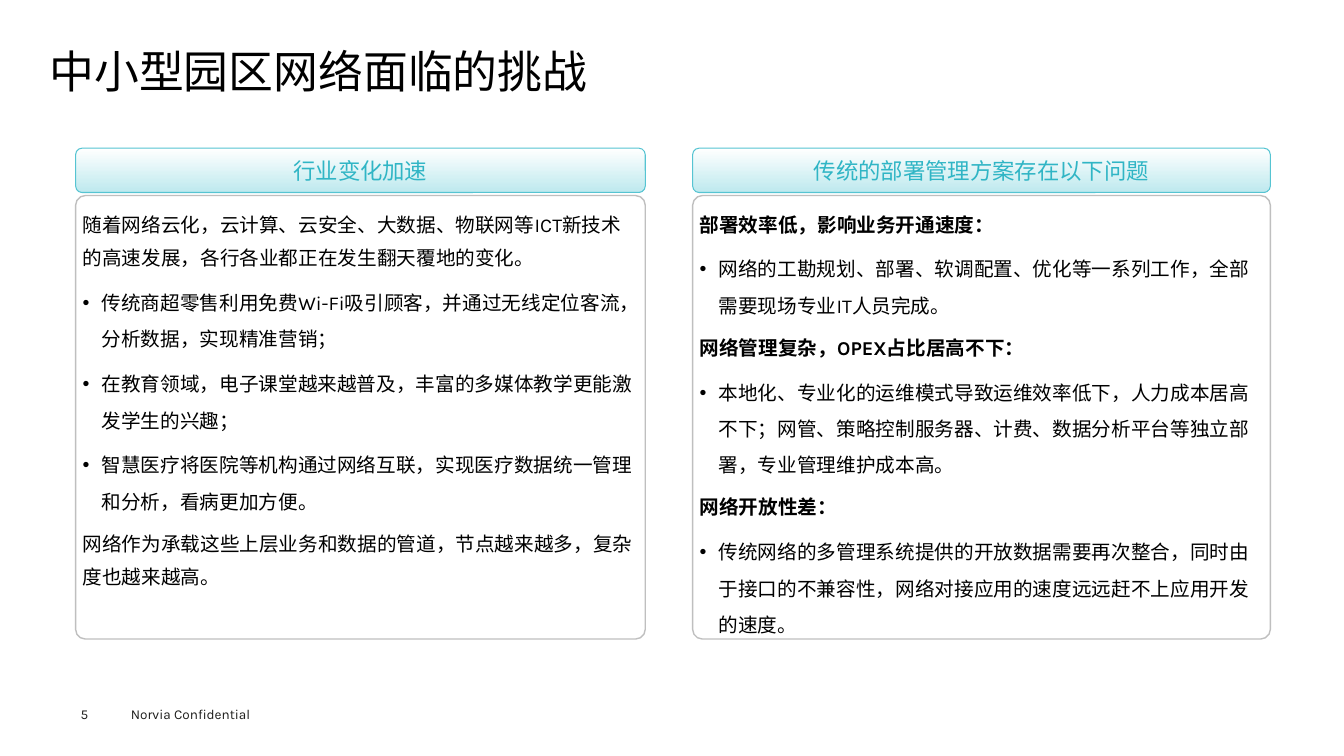
from dataclasses import dataclass

from lxml import etree
from pptx import Presentation
from pptx.dml.color import RGBColor
from pptx.enum.shapes import MSO_SHAPE
from pptx.enum.text import MSO_ANCHOR, MSO_AUTO_SIZE, PP_ALIGN
from pptx.oxml.ns import qn
from pptx.util import Inches, Pt

ROUND = MSO_SHAPE.ROUNDED_RECTANGLE
TOP, MIDDLE = MSO_ANCHOR.TOP, MSO_ANCHOR.MIDDLE
LEFT, CENTER = PP_ALIGN.LEFT, PP_ALIGN.CENTER
GROW, FIXED = MSO_AUTO_SIZE.SHAPE_TO_FIT_TEXT, MSO_AUTO_SIZE.NONE

FONT = "Karla"
COLORS = {
    "ink": "000000",
    "foot": "1D1D1B",
    "teal": "30B5C5",
    "edge": "56C4D2",
    "white": "FFFFFF",
    "pale": "BEE9EE",
    "gray": "BFBFBF",
}


@dataclass
class Item:
    text: str
    bullet: bool = False
    bold: bool = False


@dataclass
class Panel:
    left: float
    width: float
    head: str
    items: list[Item]


PANELS = [
    Panel(0.75, 5.65, "行业变化加速", [
        Item("随着网络云化，云计算、云安全、大数据、物联网等ICT新技术的高速发展，各行各业都正在发生翻天覆地的变化。"),
        Item("传统商超零售利用免费Wi-Fi吸引顾客，并通过无线定位客流，分析数据，实现精准营销；", bullet=True),
        Item("在教育领域，电子课堂越来越普及，丰富的多媒体教学更能激发学生的兴趣；", bullet=True),
        Item("智慧医疗将医院等机构通过网络互联，实现医疗数据统一管理和分析，看病更加方便。", bullet=True),
        Item("网络作为承载这些上层业务和数据的管道，节点越来越多，复杂度也越来越高。"),
    ]),
    Panel(6.87, 5.73, "传统的部署管理方案存在以下问题", [
        Item("部署效率低，影响业务开通速度：", bold=True),
        Item("网络的工勘规划、部署、软调配置、优化等一系列工作，全部需要现场专业IT人员完成。", bullet=True),
        Item("网络管理复杂，OPEX占比居高不下：", bold=True),
        Item("本地化、专业化的运维模式导致运维效率低下，人力成本居高不下；网管、策略控制服务器、计费、"
             "数据分析平台等独立部署，专业管理维护成本高。", bullet=True),
        Item("网络开放性差：", bold=True),
        Item("传统网络的多管理系统提供的开放数据需要再次整合，同时由于接口的不兼容性，"
             "网络对接应用的速度远远赶不上应用开发的速度。", bullet=True),
    ]),
]


def rgb(name: str) -> RGBColor:
    return RGBColor.from_string(COLORS[name])


def write(para, text: str, *, size: float, color: str = "ink", bold: bool = False,
          align=LEFT, space=None, after: float = 0, bullet: bool = False) -> None:
    """Fill one paragraph with formatted text."""
    if bullet:
        props = para._p.get_or_add_pPr()
        props.set("marL", str(Inches(0.19)))
        props.set("indent", str(-Inches(0.19)))
        etree.SubElement(props, qn("a:buFont")).set("typeface", "Arial")
        etree.SubElement(props, qn("a:buChar")).set("char", "•")
    para.alignment = align
    para.space_before, para.space_after = Pt(0), Pt(after)
    if space is not None:
        para.line_spacing = space
    run = para.add_run()
    run.text = text
    font = run.font
    font.name, font.size, font.bold = FONT, Pt(size), bold
    font.color.rgb = rgb(color)


def frame(shape, *, inset: float | None = None, anchor=TOP, fit=FIXED):
    """Set up a text frame and return it."""
    box = shape.text_frame
    box.word_wrap, box.auto_size, box.vertical_anchor = True, fit, anchor
    if inset is not None:
        box.margin_left = box.margin_right = Inches(inset)
        box.margin_top = box.margin_bottom = Inches(inset)
    return box


def card(slide, at: tuple, *, round_by: float, edge: str, weight: float):
    """Add an outlined rounded box."""
    shape = slide.shapes.add_shape(ROUND, *map(Inches, at))
    shape.shadow.inherit = False
    shape.adjustments[0] = round_by
    shape.fill.background()
    shape.line.color.rgb = rgb(edge)
    shape.line.width = Pt(weight)
    return shape


def draw_panel(slide, panel: Panel) -> None:
    # Gradient header bar
    bar = card(slide, (panel.left, 1.47, panel.width, 0.44),
               round_by=0.146, edge="edge", weight=0.75)
    bar.fill.gradient()
    bar.fill.gradient_angle = 270
    for stop, name in zip(bar.fill.gradient_stops, ("white", "pale")):
        stop.color.rgb = rgb(name)
    write(frame(bar, anchor=MIDDLE).paragraphs[0], panel.head,
          size=16, color="teal", align=CENTER)

    # Body box
    body = card(slide, (panel.left, 1.94, panel.width, 4.4),
                round_by=0.022, edge="gray", weight=1)
    box = frame(body, inset=0.04)
    for i, item in enumerate(panel.items):
        para = box.add_paragraph() if i else box.paragraphs[0]
        write(para, item.text, size=14, bold=item.bold, bullet=item.bullet,
              space=Pt(26 if item.bullet else 24), after=6)


def draw_foot(slide, at: tuple, text: str, inset: float | None = None) -> None:
    shape = slide.shapes.add_textbox(*map(Inches, at))
    write(frame(shape, inset=inset, fit=GROW).paragraphs[0], text,
          size=9.7, color="foot")


def main() -> None:
    deck = Presentation()
    deck.slide_width, deck.slide_height = Inches(13.33), Inches(7.5)
    slide = deck.slides.add_slide(deck.slide_layouts[5])

    # Title
    title = slide.shapes.title
    title.left, title.top = Inches(0.49), Inches(0.49)
    title.width, title.height = Inches(12.35), Inches(0.54)
    write(frame(title, inset=0).paragraphs[0], "中小型园区网络面临的挑战",
          size=32, space=0.9)

    # Panels
    for panel in PANELS:
        draw_panel(slide, panel)

    # Footer
    draw_foot(slide, (1.2, 6.95, 1.6, 0.27), "Norvia Confidential")
    draw_foot(slide, (0.8, 7, 0.55, 0.16), "5", inset=0)

    deck.save("out.pptx")


if __name__ == "__main__":
    main()
